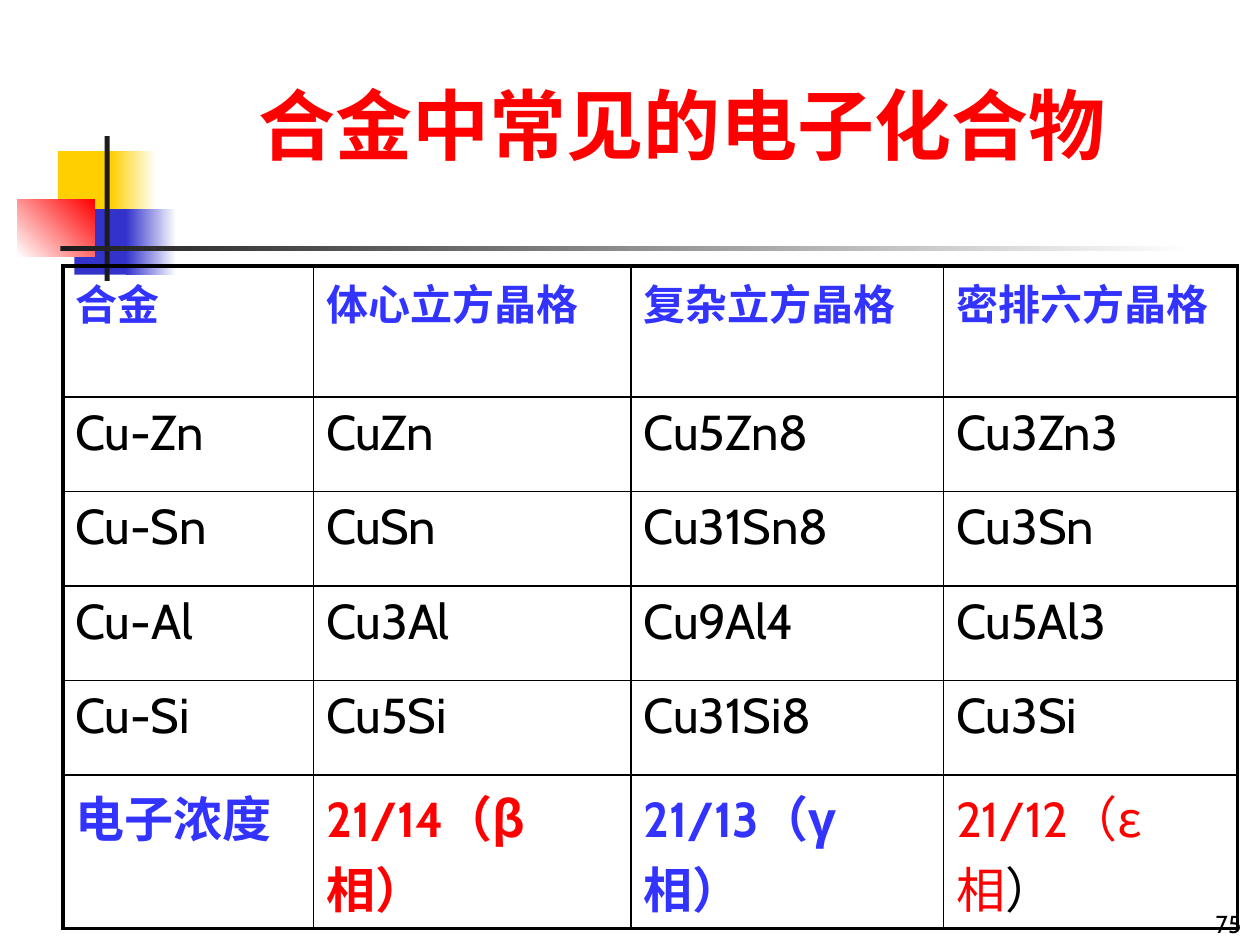
"""Build the slide on common electron compounds in alloys."""
from dataclasses import dataclass
from typing import Optional

from lxml import etree
from pptx import Presentation
from pptx.dml.color import RGBColor
from pptx.enum import shapes, text
from pptx.oxml import ns
from pptx.util import Inches, Pt


@dataclass(frozen=True)
class Theme:
    """Colours, fonts and sizes of the slide."""
    black: str = "000000"
    white: str = "FFFFFF"
    red: str = "FF0000"
    blue: str = "3333FF"
    navy: str = "3333CC"
    yellow: str = "FFCF01"
    charcoal: str = "1C1C1C"
    font: str = "Cabin"
    asian_font: str = "Noto Sans CJK SC"
    title_size: int = 44
    header_size: int = 24
    body_size: int = 28
    number_size: int = 14
    outer_border: float = 2.25
    inner_border: float = 1


THEME = Theme()


@dataclass(frozen=True)
class Block:
    """A decorative rectangle, plain or fading to a second colour."""
    left: float
    top: float
    width: float
    height: float
    colour: str
    fade_to: Optional[str] = None
    angle: int = 0


@dataclass(frozen=True)
class Span:
    """A run of text with its own look."""
    words: str
    colour: str = THEME.black
    bold: bool = False
    size: int = THEME.body_size
    font: str = THEME.font


BLOCKS = [
    Block(0.46, 1.2, 0.48, 0.52, THEME.yellow),
    Block(0.88, 1.2, 0.36, 0.52, THEME.yellow, THEME.white),
    Block(0.59, 1.66, 0.46, 0.52, THEME.navy),
    Block(1, 1.66, 0.4, 0.52, THEME.navy, THEME.white),
    Block(0.14, 1.58, 0.61, 0.46, THEME.white, THEME.red, 45),
    Block(0.83, 1.08, 0.04, 1.15, THEME.charcoal),
    Block(0.48, 1.95, 9, 0.04, THEME.charcoal, THEME.white),
]
HEADERS = ["合金", "体心立方晶格", "复杂立方晶格", "密排六方晶格"]
COMPOUNDS = [
    ["Cu-Zn", "CuZn", "Cu5Zn8", "Cu3Zn3"],
    ["Cu-Sn", "CuSn", "Cu31Sn8", "Cu3Sn"],
    ["Cu-Al", "Cu3Al", "Cu9Al4", "Cu5Al3"],
    ["Cu-Si", "Cu5Si", "Cu31Si8", "Cu3Si"],
]
CONCENTRATIONS = [
    [Span("电子浓度", THEME.blue, True)],
    [Span("21/14（", THEME.red, True),
     Span("β相", THEME.red, True, font=THEME.asian_font),
     Span("）", THEME.red, True)],
    [Span("21/13（γ相）", THEME.blue, True)],
    [Span("21/12（", THEME.red),
     Span("ε相", THEME.red, font=THEME.asian_font),
     Span("）")],
]
COLUMN_WIDTHS = [1.99, 2.52, 2.48, 2.33]
ROW_HEIGHTS = [1.04, *[0.75] * len(COMPOUNDS), 1.22]


def write_spans(paragraph, spans: list[Span]) -> None:
    """Add each span to the paragraph as a run."""
    for span in spans:
        run = paragraph.add_run()
        run.text = span.words
        run.font.size = Pt(span.size)
        run.font.bold = span.bold
        run.font.color.rgb = RGBColor.from_string(span.colour)
        run.font.name = span.font
        asian = etree.SubElement(run.font._element, ns.qn("a:ea"))
        asian.set("typeface", THEME.asian_font)


def draw_block(slide, block: Block) -> None:
    """Draw one decorative rectangle."""
    shape = slide.shapes.add_shape(
        shapes.MSO_SHAPE.RECTANGLE, Inches(block.left), Inches(block.top),
        Inches(block.width), Inches(block.height))
    shape.shadow.inherit = False
    shape.line.fill.background()
    if block.fade_to is None:
        shape.fill.solid()
        shape.fill.fore_color.rgb = RGBColor.from_string(block.colour)
        return
    shape.fill.gradient()
    shape.fill.gradient_angle = block.angle
    for stop, colour in zip(shape.fill.gradient_stops, (block.colour, block.fade_to)):
        stop.color.rgb = RGBColor.from_string(colour)


def draw_title(slide) -> None:
    """Place and fill the title placeholder."""
    title = slide.shapes.title
    title.left, title.top = Inches(1.95), Inches(0.23)
    title.width, title.height = Inches(7.83), Inches(1.17)
    frame = title.text_frame
    frame.word_wrap = True
    frame.auto_size = text.MSO_AUTO_SIZE.NONE
    frame.vertical_anchor = text.MSO_ANCHOR.BOTTOM
    paragraph = frame.paragraphs[0]
    paragraph.alignment = text.PP_ALIGN.LEFT
    write_spans(paragraph, [Span("合金中常见的电子化合物", THEME.red, True, THEME.title_size)])


def draw_number(slide) -> None:
    """Write the page number in the lower right corner."""
    box = slide.shapes.add_textbox(Inches(9.43), Inches(7.2), Inches(0.52), Inches(0.3))
    frame = box.text_frame
    frame.word_wrap = True
    frame.vertical_anchor = text.MSO_ANCHOR.BOTTOM
    paragraph = frame.paragraphs[0]
    paragraph.alignment = text.PP_ALIGN.RIGHT
    write_spans(paragraph, [Span("75", size=THEME.number_size)])


def set_borders(cell, outer_sides: dict[str, bool]) -> None:
    """Give the cell thick lines on outer sides and thin lines elsewhere."""
    properties = cell._tc.get_or_add_tcPr()
    for index, (side, is_outer) in enumerate(outer_sides.items()):
        width = THEME.outer_border if is_outer else THEME.inner_border
        line = etree.Element(ns.qn(f"a:ln{side}"), w=str(Pt(width)))
        fill = etree.SubElement(line, ns.qn("a:solidFill"))
        etree.SubElement(fill, ns.qn("a:srgbClr"), val=THEME.black)
        properties.insert(index, line)


def draw_table(slide) -> None:
    """Draw the table of alloys and their lattices."""
    headers = [[Span(words, THEME.blue, True, THEME.header_size)] for words in HEADERS]
    bodies = [[[Span(words)] for words in row] for row in COMPOUNDS]
    rows = [headers, *bodies, CONCENTRATIONS]
    last_row, last_column = len(rows) - 1, len(HEADERS) - 1
    table = slide.shapes.add_table(
        len(rows), len(HEADERS), Inches(0.5), Inches(2.11),
        Inches(sum(COLUMN_WIDTHS)), Inches(sum(ROW_HEIGHTS))).table
    table.first_row = table.horz_banding = False
    for column, width in zip(table.columns, COLUMN_WIDTHS):
        column.width = Inches(width)
    for row, height in zip(table.rows, ROW_HEIGHTS):
        row.height = Inches(height)
    for r, row_spans in enumerate(rows):
        for c, spans in enumerate(row_spans):
            cell = table.cell(r, c)
            cell.fill.background()
            set_borders(cell, {"L": c == 0, "R": c == last_column,
                               "T": r == 0, "B": r == last_row})
            write_spans(cell.text_frame.paragraphs[0], spans)


def main() -> None:
    """Build and save the presentation."""
    presentation = Presentation()
    presentation.slide_width, presentation.slide_height = Inches(10), Inches(7.5)
    slide = presentation.slides.add_slide(presentation.slide_layouts[5])
    for block in BLOCKS:
        draw_block(slide, block)
    draw_number(slide)
    draw_title(slide)
    draw_table(slide)
    presentation.save("out.pptx")


if __name__ == "__main__":
    main()
